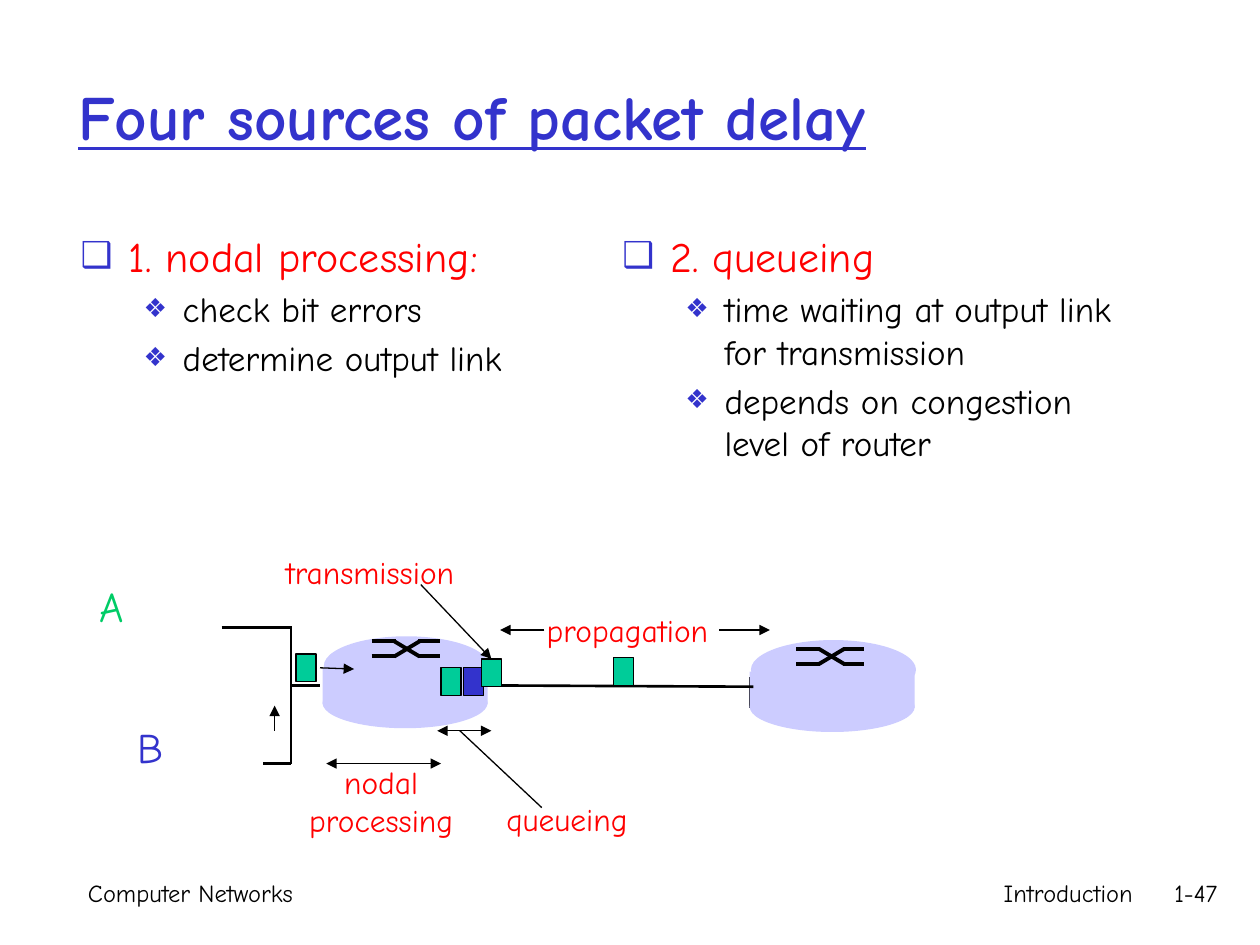
from typing import NamedTuple

from lxml.etree import SubElement
from pptx import Presentation
from pptx.dml.color import RGBColor
from pptx.enum.shapes import MSO_CONNECTOR, MSO_SHAPE
from pptx.enum.text import MSO_ANCHOR, MSO_AUTO_SIZE, PP_ALIGN
from pptx.oxml.ns import qn
from pptx.util import Inches, Pt

FONT = "Comic Neue"
COLORS = {"black": "000000", "blue": "3333CC", "red": "FF0000", "green": "00CC66",
          "packet": "00CC99", "router": "CCCCFF"}


class Line(NamedTuple):
    x1: float
    y1: float
    x2: float
    y2: float
    width: float = 0.75
    head: bool = False
    tail: bool = False


class Label(NamedTuple):
    text: str
    x: float
    y: float
    w: float
    h: float
    size: int = 18
    color: str = "red"
    align: PP_ALIGN = PP_ALIGN.LEFT
    wrap: bool = False


class Level(NamedTuple):
    bullet: str
    bullet_pct: int
    margin: float
    hang: float
    size: int
    color: str


LEVELS = [Level("❑", 85, 0.38, 0.38, 24, "red"),
          Level("❖", 75, 0.81, 0.31, 20, "black")]


def rgb(name: str) -> RGBColor:
    return RGBColor.from_string(COLORS[name])


def style_runs(p, size: int, color: str) -> None:
    for r in p.runs:
        r.font.name, r.font.size = FONT, Pt(size)
        r.font.color.rgb = rgb(color)


def place(sp, x: float, y: float, w: float, h: float) -> None:
    sp.left, sp.top, sp.width, sp.height = map(Inches, (x, y, w, h))


def add_bullet(p, level: Level) -> None:
    pPr = p._p.get_or_add_pPr()
    pPr.set("marL", str(Inches(level.margin)))
    pPr.set("indent", str(-Inches(level.hang)))
    clr = SubElement(pPr, qn("a:buClr"))
    SubElement(clr, qn("a:srgbClr"), val=COLORS["blue"])
    SubElement(pPr, qn("a:buSzPct"), val=str(level.bullet_pct * 1000))
    SubElement(pPr, qn("a:buFont"), typeface=FONT)
    SubElement(pPr, qn("a:buChar"), char=level.bullet)


def fill_list(sp, heading: str, items: list[str]) -> None:
    tf = sp.text_frame
    tf.auto_size = MSO_AUTO_SIZE.NONE
    tf.text = "\n".join([heading, *items])
    for i, p in enumerate(tf.paragraphs):
        p.level = min(i, 1)
        level = LEVELS[p.level]
        add_bullet(p, level)
        p.space_before = Pt(4 if i else 0)
        style_runs(p, level.size, level.color)


def add_label(s, label: Label) -> None:
    sp = s.shapes.add_textbox(*map(Inches, label[1:5]))
    tf = sp.text_frame
    tf.word_wrap = label.wrap
    tf.text = label.text
    for p in tf.paragraphs:
        p.alignment = label.align
        style_runs(p, label.size, label.color)


def add_line(s, line: Line):
    cxn = s.shapes.add_connector(MSO_CONNECTOR.STRAIGHT, *map(Inches, line[:4]))
    cxn.line.color.rgb = rgb("black")
    cxn.line.width = Pt(line.width)
    ln = cxn.line._get_or_add_ln()
    for tag, shown in (("a:headEnd", line.head), ("a:tailEnd", line.tail)):
        if shown:
            SubElement(ln, qn(tag), type="triangle")
    SubElement(cxn._element.spPr, qn("a:effectLst"))
    return cxn


def add_box(s, kind: MSO_SHAPE, x: float, y: float, w: float, h: float,
            color: str, outlined: bool = False):
    sp = s.shapes.add_shape(kind, *map(Inches, (x, y, w, h)))
    sp.shadow.inherit = False
    sp.fill.solid()
    sp.fill.fore_color.rgb = rgb(color)
    if outlined:
        sp.line.color.rgb = rgb("black")
        sp.line.width = Pt(0.75)
    else:
        sp.line.fill.background()
    return sp


def add_router(s, x: float, y: float) -> None:
    """Draw a cylinder whose top ellipse starts at height y."""
    add_box(s, MSO_SHAPE.OVAL, x, y + 0.33, 1.31, 0.4, "router")
    add_box(s, MSO_SHAPE.RECTANGLE, x, y + 0.25, 1.31, 0.29, "router")
    add_box(s, MSO_SHAPE.OVAL, x + 0.01, y, 1.31, 0.47, "router")


def add_switch_symbol(s, x: float, y: float) -> None:
    """Draw two tracks that swap sides between x + 0.18 and x + 0.38."""
    drop = 0.12
    for start, end in ((y, y + drop), (y + drop, y)):
        add_line(s, Line(x, start, x + 0.19, start, 2.25))
        add_line(s, Line(x + 0.18, start, x + 0.38, end, 2.25))
        add_line(s, Line(x + 0.37, end, x + 0.54, end, 2.25))


def add_packet(s, x: float, y: float, color: str = "packet"):
    return add_box(s, MSO_SHAPE.RECTANGLE, x, y, 0.16, 0.22, color, outlined=True)


LINKS = [
    Line(1.76, 4.98, 2.31, 4.98, 1.5),
    Line(2.09, 6.06, 2.31, 6.06, 1.5),
    Line(3.86, 5.44, 5.98, 5.45, 1.5),
    Line(2.31, 4.97, 2.31, 6.06, 1.5),
    Line(2.32, 5.44, 2.54, 5.44, 1.5),
]
ARROWS = [
    Line(2.54, 5.3, 2.81, 5.31, tail=True),
    Line(2.18, 5.8, 2.18, 5.6, tail=True),
    Line(5.71, 5, 6.11, 5, tail=True),
    Line(4.32, 5, 3.97, 5, tail=True),
    Line(3.5, 6.06, 2.59, 6.06, head=True, tail=True),
    Line(3.9, 5.8, 3.47, 5.8, head=True, tail=True),
    Line(4.3, 6.41, 3.65, 5.8),
]
LABELS = [
    Label("A", 0.69, 4.56, 0.44, 0.5, 24, "green"),
    Label("B", 0.99, 5.68, 0.41, 0.5, 24, "blue"),
    Label("propagation", 4.24, 4.8, 1.56, 0.4),
    Label("transmission", 2.17, 4.34, 1.66, 0.4),
    Label("nodal\nprocessing", 2.31, 6.01, 1.43, 0.7, align=PP_ALIGN.CENTER),
    Label("queueing", 3.92, 6.3, 1.2, 0.4),
    Label("Computer Networks", 0.6, 6.92, 2.24, 0.5, 14, "black", wrap=True),
    Label("Introduction", 5.92, 6.92, 3.17, 0.5, 14, "black", PP_ALIGN.RIGHT, True),
    Label("1-47", 9.08, 6.92, 0.68, 0.5, 14, "black", PP_ALIGN.RIGHT, True),
]


def main() -> None:
    prs = Presentation()
    prs.slide_width, prs.slide_height = Inches(10), Inches(7.5)
    s = prs.slides.add_slide(prs.slide_layouts.get_by_name("Two Content"))

    title, left, right = s.placeholders
    place(title, 0.52, 0.29, 8.5, 1.25)
    tf = title.text_frame
    tf.auto_size = MSO_AUTO_SIZE.NONE
    tf.vertical_anchor = MSO_ANCHOR.MIDDLE
    tf.text = "Four sources of packet delay"
    p = tf.paragraphs[0]
    p.alignment = PP_ALIGN.LEFT
    style_runs(p, 36, "blue")
    p.runs[0].font.bold = p.runs[0].font.underline = True

    place(left, 0.54, 1.78, 4.17, 1.47)
    fill_list(left, "1. nodal processing:", ["check bit errors", "determine output link"])
    place(right, 4.84, 1.78, 4.17, 2.16)
    fill_list(right, "2. queueing", ["time waiting at output link for transmission",
                                     "depends on congestion level of router"])

    add_line(s, Line(5.95, 5.37, 5.95, 5.62, 1))
    for x, y in ((2.56, 5.05), (5.95, 5.08)):
        add_router(s, x, y)
    for x, y in ((2.95, 5.09), (6.32, 5.15)):
        add_switch_symbol(s, x, y)
    for link in LINKS:
        add_line(s, link)

    for x, y in ((4.87, 5.22), (3.5, 5.3), (2.35, 5.19)):
        add_packet(s, x, y)
    add_packet(s, 3.68, 5.3, "blue")
    sent_packet = add_packet(s, 3.82, 5.23)

    for arrow in ARROWS:
        add_line(s, arrow)
    add_line(s, Line(3.34, 4.64, 3.9, 5.23, tail=True)).end_connect(sent_packet, 0)
    for label in LABELS:
        add_label(s, label)

    prs.save("out.pptx")


if __name__ == "__main__":
    main()
